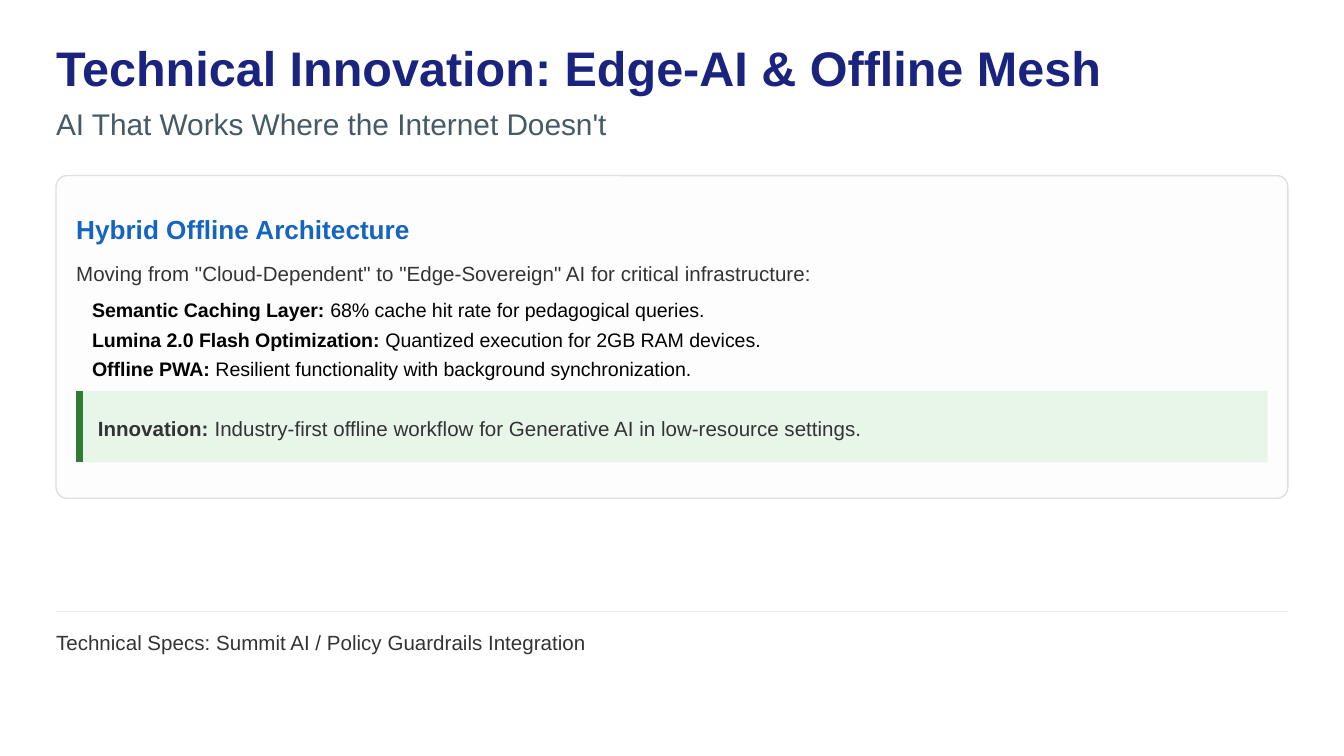
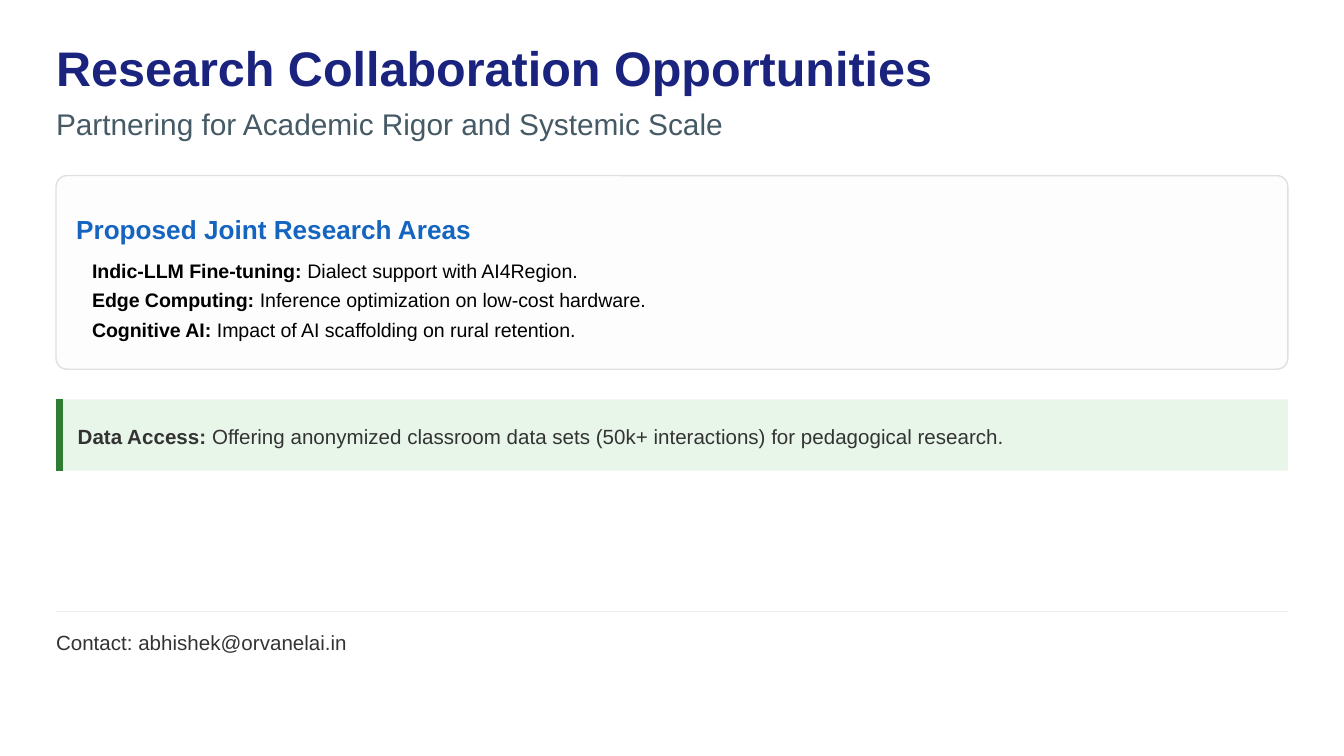
import pptx
import pptx.util
import pptx.dml.color
import pptx.enum.shapes
import pptx.enum.text
import pptx.oxml.ns
from lxml import etree

Cm, Pt = pptx.util.Cm, pptx.util.Pt
SHAPE = pptx.enum.shapes.MSO_SHAPE
qn = pptx.oxml.ns.qn

SLIDES = [
    {
        "title": "Technical Innovation: Edge-AI & Offline Mesh",
        "sub": "AI That Works Where the Internet Doesn't",
        "head": "Hybrid Offline Architecture",
        "intro": 'Moving from "Cloud-Dependent" to "Edge-Sovereign" AI for critical infrastructure:',
        "points": [
            ("Semantic Caching Layer:", " 68% cache hit rate for pedagogical queries."),
            ("Lumina 2.0 Flash Optimization:", " Quantized execution for 2GB RAM devices."),
            ("Offline PWA:", " Resilient functionality with background synchronization."),
        ],
        "note": ("Innovation:", " Industry-first offline workflow for Generative AI in low-resource settings."),
        "inside": True,
        "card": 6.1,
        "foot": "Technical Specs: Summit AI / Policy Guardrails Integration",
    },
    {
        "title": "Research Collaboration Opportunities",
        "sub": "Partnering for Academic Rigor and Systemic Scale",
        "head": "Proposed Joint Research Areas",
        "intro": None,
        "points": [
            ("Indic-LLM Fine-tuning:", " Dialect support with AI4Region."),
            ("Edge Computing:", " Inference optimization on low-cost hardware."),
            ("Cognitive AI:", " Impact of AI scaffolding on rural retention."),
        ],
        "note": ("Data Access:", " Offering anonymized classroom data sets (50k+ interactions) for pedagogical research."),
        "inside": False,
        "card": 3.66,
        "foot": "Contact: abhishek@orvanelai.in",
    },
]

COLORS = {
    "title": "1A237E", "sub": "455A64", "head": "1565C0", "text": "333333",
    "point": "000000", "card": "FDFDFD", "edge": "E0E0E0",
    "note": "E8F5E9", "bar": "2E7D32", "rule": "ECEFF1",
}
# size, before, after, exact line height
STYLES = {
    "title": (26, 0, 8, None),
    "sub": (16, 0, 10, None),
    "head": (14, 10, 6, None),
    "text": (11, 4, 4, 14.3),
    "point": (10.5, 0, 3, None),
}
LEFT, WIDE, TEXT_W = 1.06, 23.28, 23.75
PAD, HANG, RADIUS = 0.38, 0.3, 0.21
CARD_Y, HEAD_Y, FLOW_Y = 3.32, 4.03, 4.9
LIST_H, NOTE_H, RULE_Y = 1.48, 1.35, 11.56


def rgb(name):
    return pptx.dml.color.RGBColor.from_string(COLORS[name])


def place(shape, x, y, w, h):
    shape.left, shape.top, shape.width, shape.height = Cm(x), Cm(y), Cm(w), Cm(h)


def write(shape, style, paras, inset=0):
    frame = shape.text_frame
    frame.word_wrap = True
    frame.auto_size = pptx.enum.text.MSO_AUTO_SIZE.NONE
    frame.vertical_anchor = pptx.enum.text.MSO_ANCHOR.TOP
    frame.margin_left = Cm(inset)
    frame.margin_top = frame.margin_right = frame.margin_bottom = 0
    size, before, after, height = STYLES[style]
    for i, runs in enumerate(paras):
        para = frame.add_paragraph() if i else frame.paragraphs[0]
        para.alignment = pptx.enum.text.PP_ALIGN.LEFT
        para.space_before, para.space_after = Pt(before), Pt(after)
        para.line_spacing = Pt(height) if height else 1.0
        for text, bold in runs:
            run = para.add_run()
            run.text = text
            font = run.font
            font.name, font.size, font.bold = "Arial", Pt(size), bold
            font.color.rgb = rgb(style)


def label(slide, style, runs, x, y, w, h):
    write(slide.shapes.add_textbox(Cm(x), Cm(y), Cm(w), Cm(h)), style, [runs])


def panel(slide, kind, fill, x, y, w, h, edge=None):
    shape = slide.shapes.add_shape(kind, Cm(x), Cm(y), Cm(w), Cm(h))
    shape.shadow.inherit = False
    shape.fill.solid()
    shape.fill.fore_color.rgb = rgb(fill)
    if edge:
        shape.line.color.rgb = rgb(edge)
        shape.line.width = Pt(0.75)
    else:
        shape.line.fill.background()
    return shape


def stroke(slide, color, width, x1, y1, x2, y2):
    line = slide.shapes.add_connector(
        pptx.enum.shapes.MSO_CONNECTOR.STRAIGHT, Cm(x1), Cm(y1), Cm(x2), Cm(y2))
    line.line.color.rgb = rgb(color)
    line.line.width = Pt(width)
    etree.SubElement(line._element.spPr, qn("a:effectLst"))


def pair(lead, rest):
    return [(lead, True), (rest, False)]


def points(body, items, y):
    place(body, LEFT + PAD, y, WIDE - 2 * PAD, LIST_H)
    write(body, "point", [pair(*item) for item in items], HANG)
    for para in body.text_frame.paragraphs:
        props = para._p.get_or_add_pPr()
        props.set("marL", str(Cm(HANG)))
        props.set("indent", str(-Cm(HANG)))
        etree.SubElement(props, qn("a:buNone"))


def callout(slide, note, x, y, w):
    panel(slide, SHAPE.RECTANGLE, "note", x, y, w, NOTE_H)
    stroke(slide, "bar", 3.75, x + 0.06, y, x + 0.06, y + NOTE_H)
    label(slide, "text", pair(*note), x + 0.41, y + 0.43, w - 0.24, 0.5)


def build(deck, data):
    slide = deck.slides.add_slide(deck.slide_layouts[1])
    title, body = slide.placeholders
    place(title, LEFT, 0.71, TEXT_W, 1.05)
    write(title, "title", [[(data["title"], True)]])
    label(slide, "sub", [(data["sub"], False)], LEFT, 2, TEXT_W, 0.67)

    card = panel(slide, SHAPE.ROUNDED_RECTANGLE, "card", LEFT, CARD_Y, WIDE, data["card"], "edge")
    card.adjustments[0] = RADIUS / data["card"]
    body._element.addprevious(card._element)
    inner = LEFT + PAD
    label(slide, "head", [(data["head"], True)], inner, HEAD_Y, 22.98, 0.67)
    y = FLOW_Y
    if data["intro"]:
        label(slide, "text", [(data["intro"], False)], inner, y, 22.98, 0.5)
        y += 0.74
    points(body, data["points"], y)

    if data["inside"]:
        callout(slide, data["note"], inner, y + LIST_H + 0.27, WIDE - 2 * PAD)
    else:
        callout(slide, data["note"], LEFT, CARD_Y + data["card"] + 0.57, WIDE)
    stroke(slide, "rule", 0.75, LEFT, RULE_Y, LEFT + WIDE, RULE_Y)
    label(slide, "text", [(data["foot"], False)], LEFT, RULE_Y + 0.32, TEXT_W, 0.5)


def main():
    deck = pptx.Presentation()
    deck.slide_width, deck.slide_height = Cm(25.4), Cm(14.29)
    for data in SLIDES:
        build(deck, data)
    deck.save("out.pptx")


if __name__ == "__main__":
    main()
